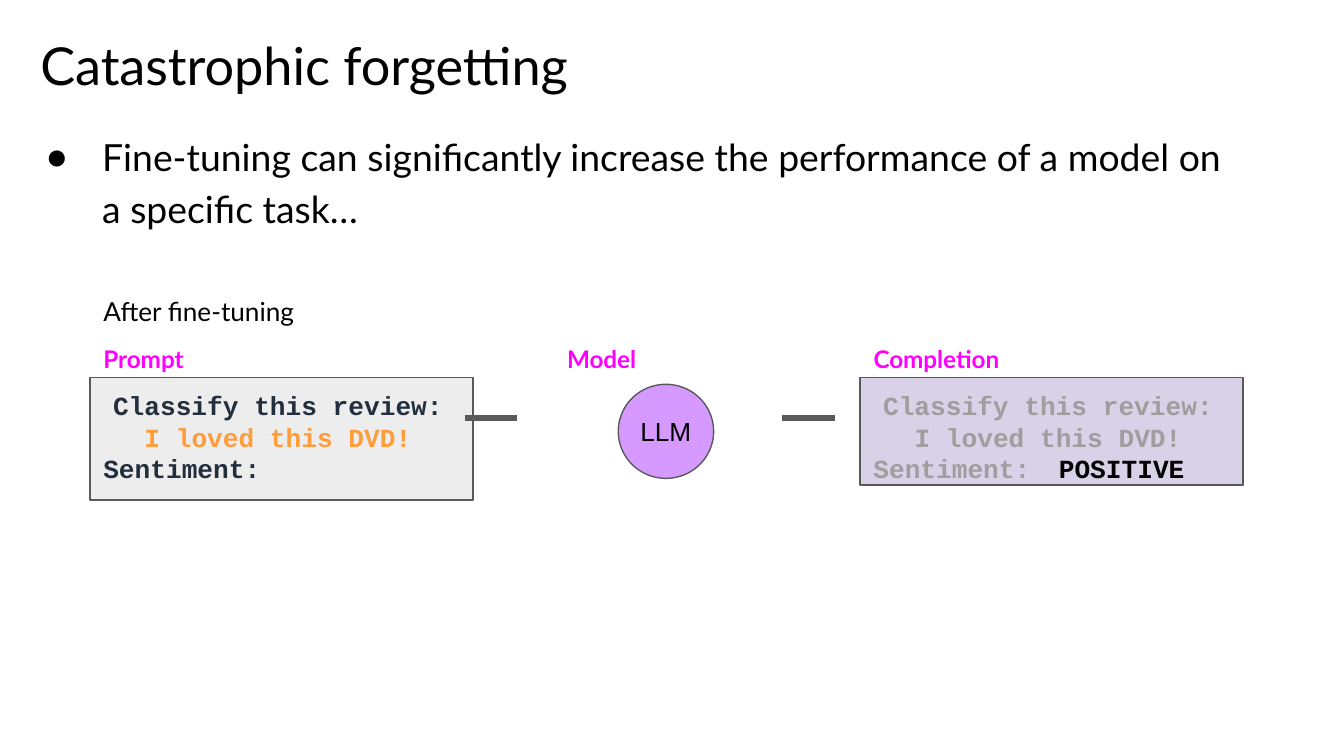
from lxml import etree
from pptx import Presentation
from pptx.dml.color import RGBColor
from pptx.enum.shapes import MSO_CONNECTOR, MSO_SHAPE
from pptx.enum.text import MSO_ANCHOR, MSO_AUTO_SIZE, PP_ALIGN
from pptx.oxml.ns import qn
from pptx.util import Inches, Pt

BLACK = RGBColor(0x00, 0x00, 0x00)
NAVY = RGBColor(0x23, 0x2F, 0x3D)
ORANGE = RGBColor(0xFF, 0x9C, 0x3B)
MAGENTA = RGBColor(0xFF, 0x00, 0xFF)
GRAY = RGBColor(0x9E, 0x9E, 0x9E)
OUTLINE = RGBColor(0x59, 0x59, 0x59)
PROMPT_FILL = RGBColor(0xED, 0xED, 0xED)
MODEL_FILL = RGBColor(0xD6, 0x99, 0xFF)
COMPLETION_FILL = RGBColor(0xD8, 0xD1, 0xE8)


def set_frame(shape, left=0, top=0.01, right=0):
    """Set the insets in inches, anchor at the top and wrap."""
    frame = shape.text_frame
    frame.margin_left, frame.margin_top = Inches(left), Inches(top)
    frame.margin_right, frame.margin_bottom = Inches(right), Inches(0)
    frame.vertical_anchor = MSO_ANCHOR.TOP
    frame.auto_size = MSO_AUTO_SIZE.NONE
    frame.word_wrap = True
    return frame


def add_span(para, text, size, color, font="Lato", bold=False):
    para.alignment = para.alignment or PP_ALIGN.LEFT
    span = para.add_run()
    span.text = text
    span.font.name, span.font.size = font, Pt(size)
    span.font.bold = bold
    span.font.color.rgb = color


deck = Presentation()
deck.slide_width, deck.slide_height = Inches(10), Inches(10 * 9 / 16)
page = deck.slides.add_slide(deck.slide_layouts[5])
shapes = page.shapes

# Title
title = shapes.title
title.left, title.top = Inches(0.17), Inches(0.24)
title.width, title.height = Inches(4.66), Inches(0.49)
add_span(set_frame(title, left=0.13).paragraphs[0], "Catastrophic forgetting", 28, BLACK)

# Bullet
body = shapes.add_textbox(Inches(0.34), Inches(0.94), Inches(8.84), Inches(0.74))
para = set_frame(body).paragraphs[0]
para.line_spacing = 1.15
props = para._p.get_or_add_pPr()
props.set("marL", str(Inches(0.42)))
props.set("indent", str(Inches(-0.42)))
bullet_color = etree.SubElement(props, qn("a:buClr"))
etree.SubElement(bullet_color, qn("a:srgbClr"), val=str(BLACK))
etree.SubElement(props, qn("a:buFont"), typeface="Arial")
etree.SubElement(props, qn("a:buChar"), char="●")
add_span(para, "Fine-tuning can significantly increase the performance "
         "of a model on a specific task…", 20, BLACK)

# Prompt and completion cards
cards = [
    (0.67, 0.91, PROMPT_FILL,
     [[("Classify this review: ", NAVY), ("I loved this DVD!", ORANGE)],
      [("Sentiment:", NAVY)]]),
    (6.4, 0.8, COMPLETION_FILL,
     [[("Classify this review: I loved this DVD!", GRAY)],
      [("Sentiment:\t", GRAY), ("POSITIVE", BLACK)]]),
]
for left, height, fill, lines in cards:
    card = shapes.add_shape(MSO_SHAPE.RECTANGLE, Inches(left), Inches(2.81),
                            Inches(2.85), Inches(height))
    card.shadow.inherit = False
    card.fill.solid()
    card.fill.fore_color.rgb = fill
    card.line.color.rgb, card.line.width = OUTLINE, Pt(0.75)
    frame = set_frame(card, left=0.1, top=0.09, right=0.15)
    for index, spans in enumerate(lines):
        para = frame.add_paragraph() if index else frame.paragraphs[0]
        if len(spans) > 1 and index:
            tabs = etree.SubElement(para._p.get_or_add_pPr(), qn("a:tabLst"))
            etree.SubElement(tabs, qn("a:tab"), pos=str(Inches(1.38)), algn="l")
        for text, color in spans:
            add_span(para, text, 14, color, "Courier New", True)

# Model
model = shapes.add_shape(MSO_SHAPE.OVAL, Inches(4.6), Inches(2.86), Inches(0.71), Inches(0.7))
model.shadow.inherit = False
model.fill.solid()
model.fill.fore_color.rgb = MODEL_FILL
model.line.color.rgb, model.line.width = OUTLINE, Pt(0.75)
frame = set_frame(model, top=0)
frame.vertical_anchor = MSO_ANCHOR.MIDDLE
frame.word_wrap = False
frame.paragraphs[0].alignment = PP_ALIGN.CENTER
add_span(frame.paragraphs[0], "LLM", 14, BLACK, "Arial")

# Links between the stages
for left in (3.46, 5.82):
    link = shapes.add_connector(MSO_CONNECTOR.STRAIGHT, Inches(left), Inches(3.11),
                                Inches(left + 0.39), Inches(3.11))
    link.line.color.rgb, link.line.width = OUTLINE, Pt(3)
    etree.SubElement(link._element.spPr, qn("a:effectLst"))

# Labels
labels = [
    ("After fine-tuning", 0.76, 2.19, 1.44, 14, BLACK, False),
    ("Prompt", 0.76, 2.55, 1.44, 13, MAGENTA, True),
    ("Model", 4.21, 2.55, 0.6, 13, MAGENTA, True),
    ("Completion", 6.49, 2.55, 1, 13, MAGENTA, True),
]
for text, left, top, width, size, color, bold in labels:
    label = shapes.add_textbox(Inches(left), Inches(top), Inches(width), Inches(0.23))
    add_span(set_frame(label, left=0.01).paragraphs[0], text, size, color, bold=bold)

deck.save("out.pptx")
